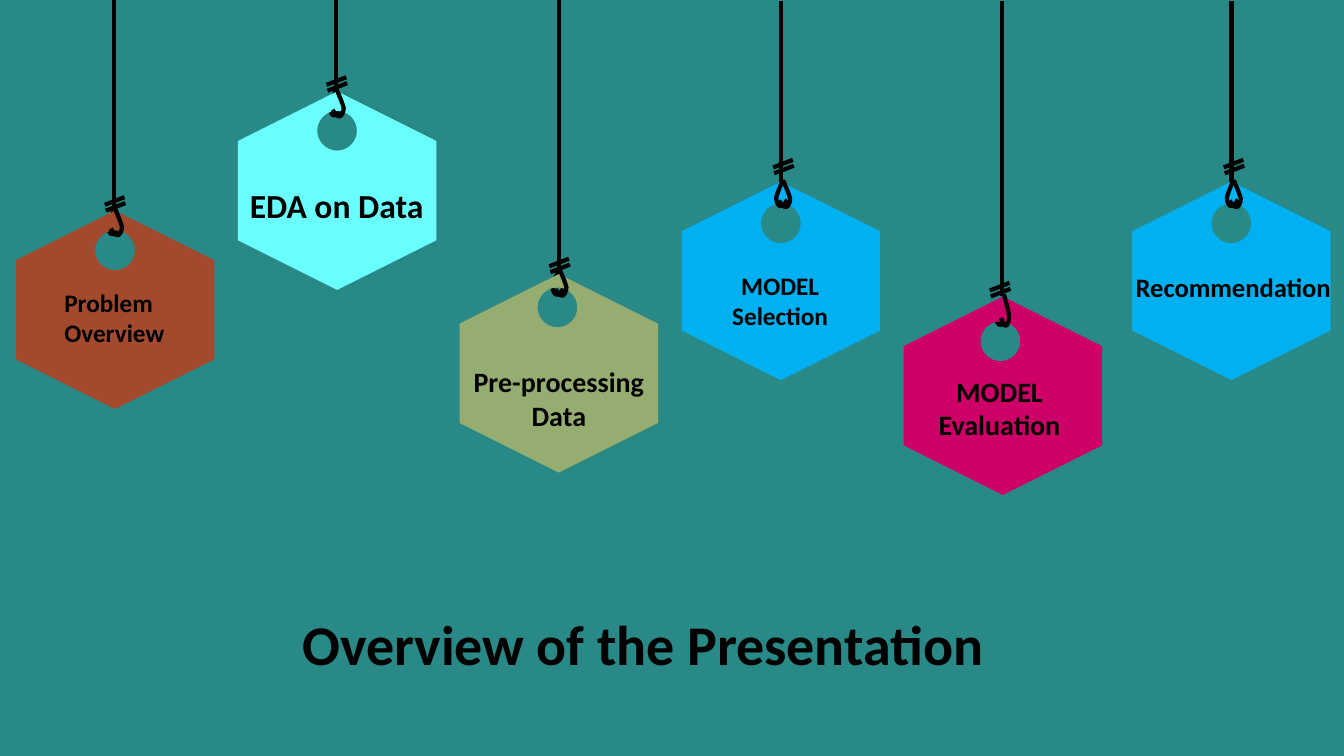
import pptx
import pptx.dml.color
import pptx.enum.shapes
import pptx.enum.text
import pptx.oxml
import pptx.oxml.ns
import pptx.util

from dataclasses import dataclass

Pt = pptx.util.Pt
ALIGN = pptx.enum.text.PP_ALIGN
BLACK = "000000"
TAG_SIZE = 141.8
HOLE_RADIUS = 14.2
HOLE_HANDLE = 7.84
ROPE_WIDTH = 3
LOOP_CURVE = [(0, 0), (-2.2, 5), (-4.3, 10.1), (-5, 13), (-5, 15.9), (-3.6, 18.7),
              (-2.2, 19), (-0.7, 19.4), (1.4, 17.3), (2.9, 14.4)]
KNOT_STROKES = [(0, 0), (-0.7, -4.2)]


@dataclass
class Tag:
    text: str
    size: float
    color: str
    center: float
    top: float
    hole: tuple
    rope: tuple
    loop: tuple
    knot: tuple
    label: tuple
    align: object = ALIGN.CENTER
    loop_behind: bool = True
    right_shift: tuple = (0, 0.7)
    right_stretch: tuple = (1, 1)


TAGS = [
    Tag("MODEL Selection", 18, "00B0F0", 557.8, 129.8, (0, 29.7), (558, 0.7, 129.8),
        (559.4, 128.2), (553, 123.8), (495.7, 189.4, 123.1, 51.1), loop_behind=False),
    Tag("Pre-processing Data", 20, "95AD70", 399.2, 195.8, (-1, 23.8), (399.2, 0, 191.5),
        (399.6, 191.5), (393.1, 194.4), (328.3, 256.8, 141.8, 55.4)),
    Tag("MODEL Evaluation", 20, "CC0066", 716.4, 211.8, (-1.8, 32), (715.7, 0.7, 211.7),
        (716.4, 213.1), (707.8, 211.7), (640.5, 263.8, 146.9, 55.4),
        right_shift=(0.7, -2.9), right_stretch=(0.75, 1.18)),
    Tag("EDA on Data", 24, "6AFFFF", 240.8, 65.3, (0, 28.1), (240, 0, 64),
        (240.5, 63.4), (234, 64.8), (168.5, 128.2, 144, 36)),
    Tag("Problem Overview", 18, "A34A2E", 82.2, 150.4, (0, 28.4), (81.4, 0, 149),
        (82.1, 148.3), (75.6, 150.5), (38.9, 201.6, 90, 51.1), align=ALIGN.LEFT),
    Tag("Recommendation", 19, "00B0F0", 879.6, 129.8, (0, 29.7), (879.6, 0.7, 129.8),
        (881.3, 128.2), (874.8, 123.8), (799.2, 190.1, 163.4, 30.2), loop_behind=False),
]


def paint(target, color):
    target.solid()
    target.fore_color.rgb = pptx.dml.color.RGBColor.from_string(color)


def set_values(target, values):
    for name, value in values.items():
        setattr(target, name, value)


def add_text(shapes, text, frame, size, align=ALIGN.CENTER):
    box = shapes.add_textbox(*map(Pt, frame))
    set_values(box.text_frame, {
        "word_wrap": True,
        "auto_size": pptx.enum.text.MSO_AUTO_SIZE.SHAPE_TO_FIT_TEXT})
    para = box.text_frame.paragraphs[0]
    para.alignment = align
    span = para.add_run()
    span.text = text
    set_values(span.font, {"name": "Calibri", "size": Pt(size), "bold": True})
    paint(span.font.fill, BLACK)


def add_rope(shapes, start, end):
    rope = shapes.add_connector(pptx.enum.shapes.MSO_CONNECTOR.STRAIGHT,
                                *map(Pt, (*start, *end)))
    paint(rope.line.fill, BLACK)
    rope.line.width = Pt(ROPE_WIDTH)
    rope._element.spPr.append(
        pptx.oxml.parse_xml("<a:effectLst %s/>" % pptx.oxml.ns.nsdecls("a")))


def curve_segments(points):
    return [points[first:first + 3] for first in range(1, len(points), 3)]


def bend(outline, segments):
    lines = list(outline._element.iter(pptx.oxml.ns.qn("a:lnTo")))
    for line, segment in zip(lines, segments):
        if len(segment) == 3:
            points = "".join('<a:pt x="%d" y="%d"/>' % (Pt(x) - outline.left, Pt(y) - outline.top)
                             for x, y in segment)
            curve = pptx.oxml.parse_xml("<a:cubicBezTo %s>%s</a:cubicBezTo>"
                                        % (pptx.oxml.ns.nsdecls("a"), points))
            line.getparent().replace(line, curve)


def add_outline(shapes, contours, close):
    builder = None
    for start, segments in contours:
        corner = tuple(map(Pt, start))
        if builder is None:
            builder = shapes.build_freeform(*corner, scale=1.0)
        else:
            builder.move_to(*corner)
        ends = [tuple(map(Pt, segment[-1])) for segment in segments]
        builder.add_line_segments(ends, close=close)
    outline = builder.convert_to_shape()
    bend(outline, [segment for _, segments in contours for segment in segments])
    outline.shadow.inherit = False
    return outline


def add_hexagon(shapes, tag):
    half, quarter = TAG_SIZE / 2, TAG_SIZE / 4
    corners = [(0, 0), (half, quarter), (half, 3 * quarter), (0, TAG_SIZE),
               (-half, 3 * quarter), (-half, quarter)]
    hexagon = [(tag.center + x, tag.top + y) for x, y in corners]
    r, h = HOLE_RADIUS, HOLE_HANDLE
    circle = [(0, -r), (-h, -r), (-r, -h), (-r, 0), (-r, h), (-h, r), (0, r),
              (h, r), (r, h), (r, 0), (r, -h), (h, -r), (0, -r)]
    hole = [(tag.center + tag.hole[0] + x, tag.top + tag.hole[1] + y) for x, y in circle]
    outline = add_outline(shapes, [(hole[0], curve_segments(hole)),
                                   (hexagon[0], [[corner] for corner in hexagon[1:]])], True)
    paint(outline.fill, tag.color)
    outline.line.fill.background()


def add_loop(shapes, anchor, stretch):
    points = [(anchor[0] + x * stretch[0], anchor[1] + y * stretch[1]) for x, y in LOOP_CURVE]
    loop = add_outline(shapes, [(points[0], curve_segments(points))], False)
    loop.fill.background()
    paint(loop.line.fill, BLACK)
    loop.line.width = Pt(ROPE_WIDTH)


def add_tag(page, tag):
    shapes = page.shapes.add_group_shape().shapes
    if tag.loop_behind:
        add_loop(shapes, tag.loop, (1, 1))
    add_hexagon(shapes, tag)
    add_text(shapes, tag.text, tag.label, tag.size, tag.align)
    x, top, bottom = tag.rope
    add_rope(shapes, (x, bottom), (x, top))
    if not tag.loop_behind:
        add_loop(shapes, tag.loop, (1, 1))
    right = [start + shift for start, shift in zip(tag.loop, tag.right_shift)]
    add_loop(shapes, right, (-tag.right_stretch[0], tag.right_stretch[1]))
    for dx, dy in KNOT_STROKES:
        left, low = tag.knot[0] + dx, tag.knot[1] + dy
        add_rope(shapes, (left, low), (left + 14, low - 5.4))


def main():
    deck = pptx.Presentation()
    set_values(deck, {"slide_width": Pt(960), "slide_height": Pt(540)})
    page = deck.slides.add_slide(deck.slide_layouts[6])
    paint(page.background.fill, "298987")
    add_text(page.shapes, "Overview of the Presentation", (104.4, 432, 709.9, 55.4), 40)
    for tag in TAGS:
        add_tag(page, tag)
    deck.save("out.pptx")


main()
